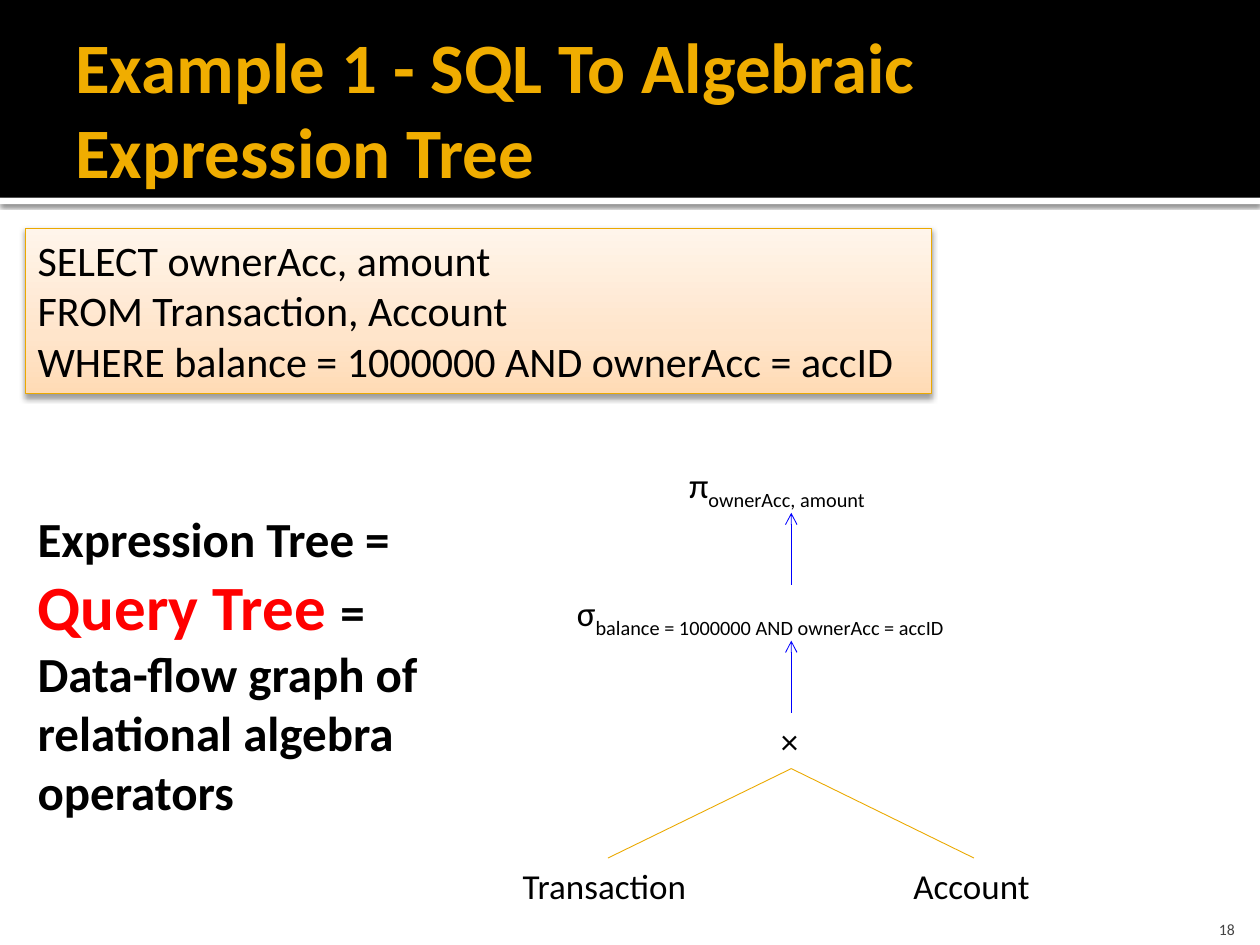
"""Builds the slide that turns an SQL query into an algebraic expression tree."""
from dataclasses import dataclass

from lxml import etree
from pptx import Presentation
from pptx.dml.color import RGBColor
from pptx.enum.shapes import MSO_CONNECTOR, MSO_SHAPE
from pptx.enum.text import MSO_ANCHOR, MSO_AUTO_SIZE, PP_ALIGN
from pptx.oxml import parse_xml
from pptx.oxml.ns import nsdecls, qn
from pptx.util import Inches, Pt

RECTANGLE = MSO_SHAPE.RECTANGLE
STRAIGHT = MSO_CONNECTOR.STRAIGHT
TOP, MIDDLE, BOTTOM = MSO_ANCHOR.TOP, MSO_ANCHOR.MIDDLE, MSO_ANCHOR.BOTTOM
LEFT, RIGHT = PP_ALIGN.LEFT, PP_ALIGN.RIGHT
GROW, FIXED = MSO_AUTO_SIZE.SHAPE_TO_FIT_TEXT, MSO_AUTO_SIZE.NONE
COLUMNS, ROWS = 100, 75


@dataclass(frozen=True)
class Theme:
    """Font, colours and type sizes."""
    font: str = "Calibri"
    ink: str = "000000"
    paper: str = "FFFFFF"
    gold: str = "F0AD00"
    edge: str = "EBA900"
    arrow: str = "0000FF"
    accent: str = "FF0000"
    muted: str = "454545"
    code_fill: tuple = ((0, "FFDBB5"), (35, "FFE5CB"), (100, "FFF5EB"))
    title: float = 40.5
    key: float = 36
    statement: float = 28
    code: float = 24
    node: float = 20
    number: float = 9
    hairline: float = 0.5


THEME = Theme()


def write(para, text, size=THEME.node, color=THEME.ink, bold=False, baseline=None):
    """Add one formatted span to a paragraph."""
    span = para.add_run()
    span.text = text
    span.font.name = THEME.font
    span.font.size = Pt(size)
    span.font.bold = bold
    span.font.color.rgb = RGBColor.from_string(color)
    if baseline:
        span.font._element.set("baseline", str(baseline * 1000))


class Page:
    """One slide, measured in grid columns and rows."""

    def __init__(self, deck, theme):
        """Add a blank slide to the deck."""
        self.theme = theme
        self.slide = deck.slides.add_slide(deck.slide_layouts[6])
        self.column = deck.slide_width / COLUMNS
        self.row = deck.slide_height / ROWS

    def place(self, *lengths):
        """Turn alternating columns and rows into slide lengths."""
        return [round(length * (self.row if index % 2 else self.column))
                for index, length in enumerate(lengths)]

    def panel(self, area, fill, line=None, shadow=None):
        """Draw a rectangle with a plain or graded fill."""
        box = self.slide.shapes.add_shape(RECTANGLE, *self.place(*area))
        box.shadow.inherit = False
        if isinstance(fill, str):
            box.fill.solid()
            box.fill.fore_color.rgb = RGBColor.from_string(fill)
        else:
            self.grade(box, fill)
        if line:
            box.line.color.rgb = RGBColor.from_string(line)
            box.line.width = Pt(self.theme.hairline)
        else:
            box.line.fill.background()
        if shadow:
            self.shade(box, *shadow)
        return box

    def grade(self, box, stops):
        """Fill a box with a gradient rising from its lower edge."""
        marks = "".join(f'<a:gs pos="{position * 1000}"><a:srgbClr val="{color}"/></a:gs>'
                        for position, color in stops)
        box._element.spPr.insert(2, parse_xml(
            f'<a:gradFill {nsdecls("a")} rotWithShape="1"><a:gsLst>{marks}</a:gsLst>'
            '<a:lin ang="16200000" scaled="0"/></a:gradFill>'))

    def shade(self, box, opacity, blur, distance):
        """Cast a black shadow straight down."""
        box._element.spPr.find(qn("a:effectLst")).append(parse_xml(
            f'<a:outerShdw {nsdecls("a")} blurRad="{Pt(blur)}" dist="{Pt(distance)}"'
            ' dir="5400000" algn="ctr" rotWithShape="0"><a:srgbClr val="000000">'
            f'<a:alpha val="{opacity * 1000}"/></a:srgbClr></a:outerShdw>'))

    def label(self, area):
        """Add an empty text box."""
        return self.slide.shapes.add_textbox(*self.place(*area))

    def fill_text(self, box, paragraphs, anchor=TOP, align=LEFT, wrap=True, size=GROW,
                  insets=(0.1, 0.05, 0.1, 0.05)):
        """Write paragraphs, each a list of (text, format) spans, into a box."""
        frame = box.text_frame
        frame.word_wrap = wrap
        frame.auto_size = size
        frame.vertical_anchor = anchor
        (frame.margin_left, frame.margin_top,
         frame.margin_right, frame.margin_bottom) = map(Inches, insets)
        for index, spans in enumerate(paragraphs):
            para = frame.add_paragraph() if index else frame.paragraphs[0]
            para.alignment = align
            for text, style in spans:
                write(para, text, **style)

    def node(self, area, text, subscript="", wrap=False):
        """Draw an operator or table of the expression tree."""
        spans = [(text, {})]
        if subscript:
            spans.append((subscript, {"baseline": -25}))
        anchor = MIDDLE if wrap else TOP
        self.fill_text(self.panel(area, self.theme.paper), [spans], wrap=wrap, anchor=anchor)

    def edge(self, start, end, color, arrow=False):
        """Join two points, with an open arrowhead at the start if asked."""
        line = self.slide.shapes.add_connector(STRAIGHT, *self.place(*start, *end))
        line.line.color.rgb = RGBColor.from_string(color)
        line.line.width = Pt(self.theme.hairline)
        if arrow:
            etree.SubElement(line.line._get_or_add_ln(), qn("a:headEnd"), type="arrow")
        etree.SubElement(line._element.spPr, qn("a:effectLst"))


def main():
    """Build and save the deck."""
    deck = Presentation()
    deck.slide_width, deck.slide_height = Inches(10), Inches(7.5)
    theme = THEME
    page = Page(deck, theme)

    page.panel((0, 15.7, COLUMNS, 0.5), theme.paper, shadow=(60, 2.5, 0.8))
    page.panel((0, 0, COLUMNS, 15.7), theme.ink)
    title = {"size": theme.title, "color": theme.gold, "bold": True}
    page.fill_text(page.label((5, 1.7, 90, 13.7)),
                   [[("Example 1 - SQL To Algebraic Expression Tree", title)]],
                   anchor=MIDDLE, size=FIXED, insets=(0.1, 0.05, 0.05, 0.05))

    trunk, height, leaf_row = 62.8, 4.4, 68.1
    projection, selection, product = (36.3 + 10.15 * level for level in range(3))
    page.node((53.7, projection, 18.2, height), "π", "ownerAcc, amount")
    page.node((44.8, selection, 36.1, height), "σ", "balance = 1000000 AND ownerAcc = accID")
    page.node((61, product, 3.6, height), "×", wrap=True)
    for upper, lower in ((projection, selection), (selection, product)):
        page.edge((trunk, upper + height), (trunk, lower), theme.arrow, arrow=True)
    for name, left, width in (("Transaction", 40.5, 15.5), ("Account", 71.5, 11.6)):
        page.node((left, leaf_row, width, height), name)
        page.edge((trunk, product + height), (left + width / 2, leaf_row), theme.edge)

    query = ("SELECT ownerAcc, amount",
             "FROM Transaction, Account",
             "WHERE balance = 1000000 AND ownerAcc = accID")
    page.fill_text(page.panel((2, 18.1, 71.9, 13.1), theme.code_fill, theme.edge, (38, 3.5, 2)),
                   [[(line, {"size": theme.code})] for line in query])

    statement = {"size": theme.statement, "bold": True}
    key = {"size": theme.key, "color": theme.accent, "bold": True}
    page.fill_text(page.label((2, 39.9, 33.8, 25.9)),
                   [[("Expression Tree = ", statement), ("Query Tree ", key),
                     ("= Data-flow graph of relational algebra operators", statement)]])

    page.fill_text(page.label((91, 71.5, 8, 3)),
                   [[("18", {"size": theme.number, "color": theme.muted})]],
                   anchor=BOTTOM, align=RIGHT, size=FIXED, insets=(0.1, 0.05, 0.1, 0))
    deck.save("out.pptx")


if __name__ == "__main__":
    main()
